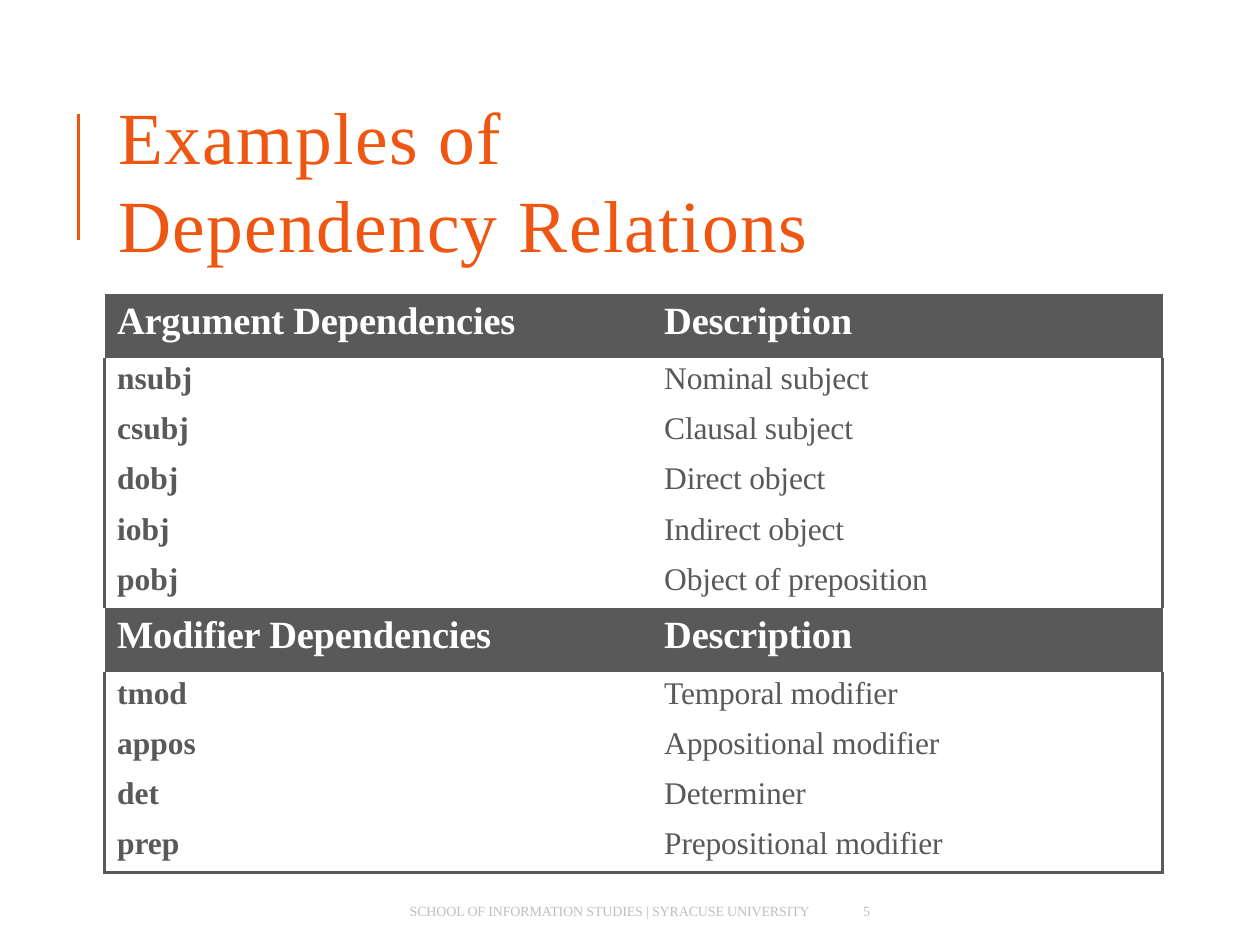
from lxml.etree import SubElement
from pptx import Presentation
from pptx.dml.color import RGBColor as RGB
from pptx.enum.shapes import MSO_CONNECTOR as Connector
from pptx.enum.text import MSO_ANCHOR as Anchor, MSO_AUTO_SIZE as AutoSize, PP_ALIGN as Align
from pptx.oxml.ns import qn
from pptx.util import Cm, Pt

COLORS = {"accent": "EE5612", "dark": "595959", "light": "FFFFFF", "footer": "BFBFBF"}
TITLE = {"size": 42, "color": "accent", "spacing": 0.8}
FOOTER = {"size": 8, "color": "footer", "spacing": -0.1}
HEADER = {"size": 22, "color": "light", "bold": True, "spacing": -0.1}
TERM = {"size": 18, "color": "dark", "bold": True}
DESCRIPTION = {"size": 18, "color": "dark", "bold": False, "spacing": -0.1}

SECTIONS = {
    "Argument Dependencies": [
        ("nsubj", "Nominal subject"),
        ("csubj", "Clausal subject"),
        ("dobj", "Direct object"),
        ("iobj", "Indirect object"),
        ("pobj", "Object of preposition"),
    ],
    "Modifier Dependencies": [
        ("tmod", "Temporal modifier"),
        ("appos", "Appositional modifier"),
        ("det", "Determiner"),
        ("prep", "Prepositional modifier"),
    ],
}


class SlideBuilder:
    font = "Times New Roman"
    border_width = 2.25

    def __init__(self, slide):
        self.s = slide

    def rgb(self, name):
        return RGB.from_string(COLORS[name])

    def add_styled_run(self, p, text, style):
        r = p.add_run()
        r.text = text
        values = {"name": self.font, "size": Pt(style["size"]), "bold": style.get("bold", False)}
        for name, value in values.items():
            setattr(r.font, name, value)
        r.font.color.rgb = self.rgb(style["color"])
        r._r.get_or_add_rPr().set("spc", str(round(style.get("spacing", 0) * 100)))

    def fill_frame(self, sp, lines, style, top=0, line_spacing=None):
        """Set plain top-left text in a placeholder or text box."""
        tf = sp.text_frame
        values = {"margin_left": 0, "margin_right": 0, "margin_top": Cm(top), "margin_bottom": 0,
                  "word_wrap": True, "auto_size": AutoSize.NONE, "vertical_anchor": Anchor.TOP}
        for name, value in values.items():
            setattr(tf, name, value)
        for i, line in enumerate(lines):
            p = tf.add_paragraph() if i else tf.paragraphs[0]
            p.alignment = Align.LEFT
            p.line_spacing = line_spacing
            self.add_styled_run(p, line, style)

    def title(self, lines, x, y, w, h):
        sp = self.s.shapes.title
        sp.left, sp.top, sp.width, sp.height = Cm(x), Cm(y), Cm(w), Cm(h)
        self.fill_frame(sp, lines, TITLE, line_spacing=Pt(50.2))

    def text(self, text, x, y, w, h, style, top=0):
        sp = self.s.shapes.add_textbox(Cm(x), Cm(y), Cm(w), Cm(h))
        self.fill_frame(sp, [text], style, top)

    def rule(self, x, y, h):
        line = self.s.shapes.add_connector(Connector.STRAIGHT, Cm(x), Cm(y), Cm(x), Cm(y + h))
        line.line.color.rgb = self.rgb("accent")
        line.line.width = Pt(2)
        SubElement(line._element.spPr, qn("a:effectLst"))

    def borders(self, cell, sides):
        """Draw the given sides of a cell and clear the others."""
        tc_pr = cell._tc.get_or_add_tcPr()
        for side in "LRTB":
            ln = SubElement(tc_pr, qn(f"a:ln{side}"), w=str(Pt(self.border_width)))
            if side in sides:
                solid = SubElement(ln, qn("a:solidFill"))
                SubElement(solid, qn("a:srgbClr"), val=COLORS["dark"])
            else:
                SubElement(ln, qn("a:noFill"))

    def cell(self, cell, text, style, indent, header, sides):
        self.borders(cell, sides)
        if header:
            cell.fill.solid()
            cell.fill.fore_color.rgb = self.rgb("dark")
        else:
            cell.fill.background()
        values = {"margin_left": Cm(indent), "margin_right": 0, "margin_bottom": 0,
                  "margin_top": Cm(0.13 if header else 0.08), "vertical_anchor": Anchor.TOP}
        for name, value in values.items():
            setattr(cell, name, value)
        self.add_styled_run(cell.text_frame.paragraphs[0], text, style)

    def table(self, sections, x, y, widths, header_height, row_height):
        rows = []
        for heading, entries in sections.items():
            rows.append((True, (heading, "Description")))
            rows += [(False, entry) for entry in entries]
        heights = [header_height if header else row_height for header, _ in rows]
        table = self.s.shapes.add_table(len(rows), len(widths), Cm(x), Cm(y),
                                        Cm(sum(widths)), Cm(sum(heights))).table
        table.horz_banding = False
        for column, width in zip(table.columns, widths):
            column.width = Cm(width)
        for i, (header, texts) in enumerate(rows):
            table.rows[i].height = Cm(heights[i])
            bottom = "B" if i == len(rows) - 1 else ""
            columns = zip(texts, (TERM, DESCRIPTION), (0.25, 1.45), "LR")
            for j, (text, style, indent, side) in enumerate(columns):
                self.cell(table.cell(i, j), text, HEADER if header else style, indent,
                          header, "" if header else side + bottom)


def main():
    prs = Presentation()
    prs.slide_width, prs.slide_height = Cm(25.4), Cm(19.05)
    builder = SlideBuilder(prs.slides.add_slide(prs.slide_layouts[5]))
    builder.rule(1.58, 2.29, 2.54)
    builder.title(["Examples of", "Dependency Relations"], 2.39, 1.85, 14.1, 3.6)
    builder.text("SCHOOL OF INFORMATION STUDIES | SYRACUSE UNIVERSITY",
                 8.26, 18.19, 8.6, 0.38, FOOTER)
    builder.text("5", 17.4, 18.03, 0.36, 0.53, FOOTER, top=0.16)
    builder.table(SECTIONS, 2.11, 5.92, (9.83, 11.5), 1.29, 1.01)
    prs.save("out.pptx")


if __name__ == "__main__":
    main()
